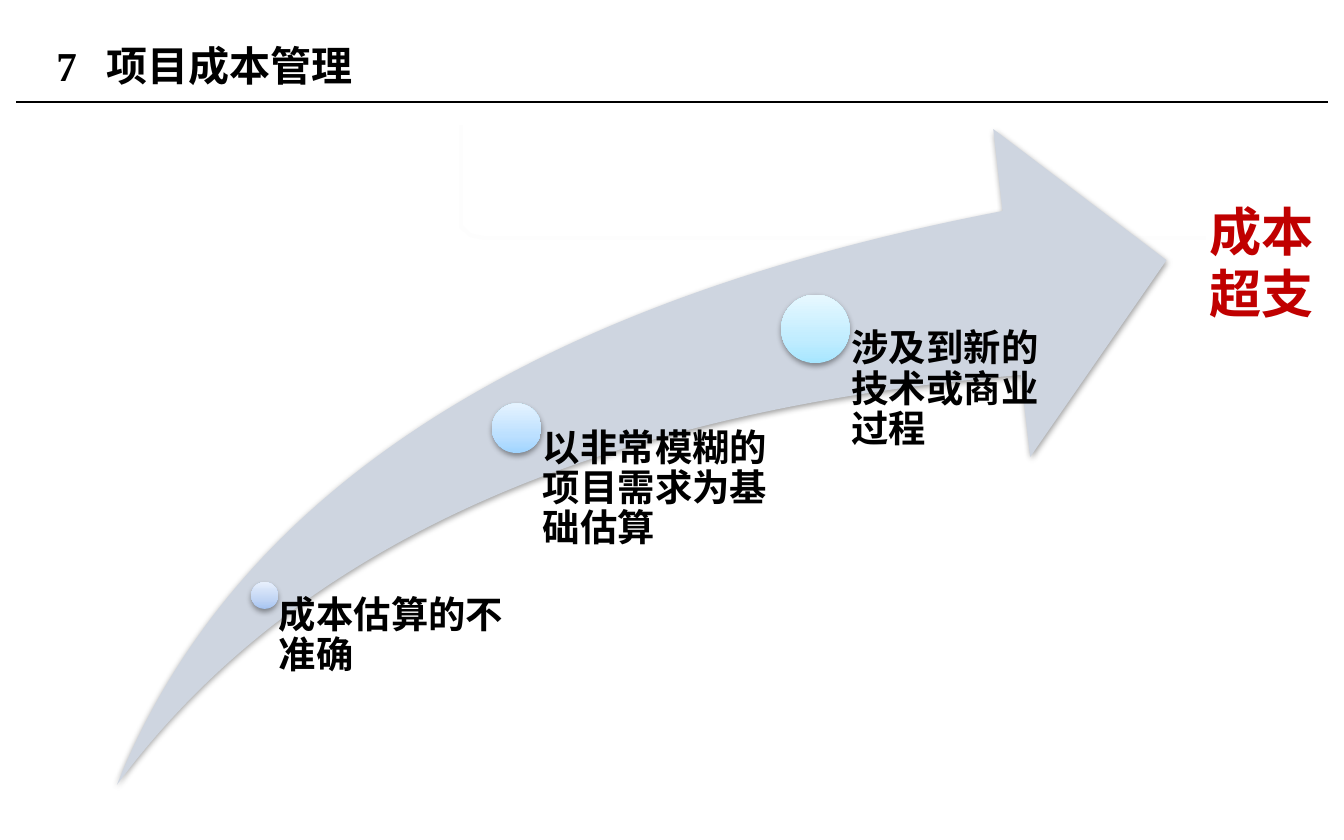
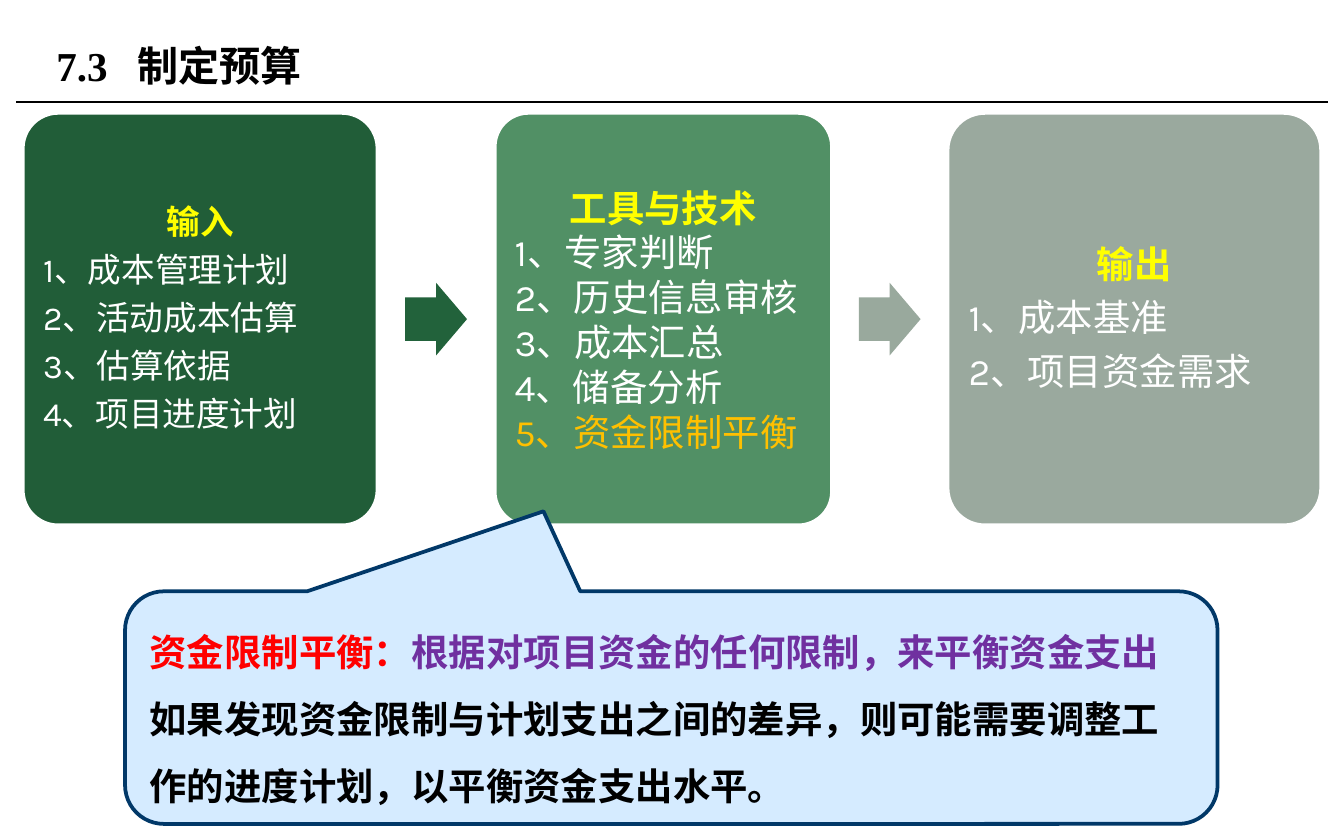
import copy

import pptx
import pptx.dml.color
import pptx.enum.shapes
import pptx.enum.text
import pptx.oxml
import pptx.oxml.ns
import pptx.util

Pt = pptx.util.Pt
RGBColor = pptx.dml.color.RGBColor
SHAPE = pptx.enum.shapes.MSO_SHAPE
ALIGN = pptx.enum.text.PP_ALIGN
ANCHOR = pptx.enum.text.MSO_ANCHOR
qn = pptx.oxml.ns.qn

BLACK = RGBColor(0x00, 0x00, 0x00)
WHITE = RGBColor(0xFF, 0xFF, 0xFF)
RED = RGBColor(0xFF, 0x00, 0x00)
DARK_RED = RGBColor(0xC0, 0x00, 0x00)
PURPLE = RGBColor(0x70, 0x30, 0xA0)
YELLOW = RGBColor(0xFF, 0xFF, 0x00)
AMBER = RGBColor(0xFF, 0xC0, 0x00)
SWOOSH = RGBColor(0xCE, 0xD5, 0xE0)
FAINT = RGBColor(0xFD, 0xFD, 0xFD)
CALLOUT_FILL = RGBColor(0xD5, 0xEB, 0xFF)
CALLOUT_LINE = RGBColor(0x01, 0x38, 0x68)
DARK_GREEN = RGBColor(0x21, 0x5D, 0x38)
ARROW_GREEN = RGBColor(0x22, 0x62, 0x3B)
GREEN = RGBColor(0x51, 0x90, 0x65)
ARROW_GREY = RGBColor(0x99, 0xA9, 0x9D)
GREY = RGBColor(0x9A, 0xA9, 0x9E)

SERIF = "Times New Roman"
SANS = "Karla"
CHINESE = "Noto Sans CJK SC"
LINE_HEIGHT = 1.2

SWOOSH_BOX = (62.6, 69.1, 562.3, 351.4)
FRAME_EDGE = [(646, 127.5), (259, 127.5), (252, 126), (247, 121.5), (247, 67)]
GRADIENT_STOPS = (0, 0.35, 1)
CAUSES = [
    ("成本估算的不准确", 141.8, 319, 14.4, 131, ("A6C4F1", "C1D5F4", "E7EFFC")),
    ("以非常模糊的项目需求为基础估算", 276.8, 229.4, 26.6, 134.6, ("A0D4FF", "BCE0FF", "E5F3FF")),
    ("涉及到新的技术或商业过程", 436.8, 176.2, 36.7, 134.6, ("A7E6FF", "C1EDFF", "E7F8FF")),
]
PANEL_TOP, PANEL_HEIGHT = 60.5, 221
PANELS = [
    {"left": 12.2, "width": 190.1, "fill": DARK_GREEN, "size": 18, "spacing": 0.9, "after": 0.35,
     "title": "输入", "items": ["1、成本管理计划", "2、活动成本估算", "3、估算依据", "4、项目进度计划"]},
    {"left": 265, "width": 180.7, "fill": GREEN, "size": 20, "spacing": 1, "after": 0,
     "title": "工具与技术",
     "items": ["1、专家判断", "2、历史信息审核", "3、成本汇总", "4、储备分析", "5、资金限制平衡"]},
    {"left": 507.6, "width": 200.2, "fill": GREY, "size": 20, "spacing": 0.9, "after": 0.35,
     "title": "输出", "items": ["1、成本基准", "2、项目资金需求"]},
]
HIGHLIGHT = "5、资金限制平衡"
ARROW_COLORS = (ARROW_GREEN, ARROW_GREY)
ARROW_WIDTH, ARROW_HEIGHT = 33.1, 38.9
CALLOUT_BOX = (67, 316.8, 585.3, 124.6)
CALLOUT_TEXT = [
    [("资金限制平衡：", RED), ("根据对项目资金的任何限制，来平衡资金支出", PURPLE)],
    [("如果发现资金限制与计划支出之间的差异，则可能需要调整工作的进度计划，以平衡资金支出水平。", BLACK)],
]


def box(*lengths):
    return [Pt(length) for length in lengths]


def set_attributes(target, values):
    for name, value in values.items():
        setattr(target, name, value)


def prepare_frame(shape, insets=(7.2, 3.6, 7.2, 3.6), anchor=ANCHOR.TOP):
    frame = shape.text_frame
    left, top, right, bottom = box(*insets)
    set_attributes(frame, {
        "word_wrap": True, "auto_size": pptx.enum.text.MSO_AUTO_SIZE.NONE,
        "vertical_anchor": anchor, "margin_left": left, "margin_top": top,
        "margin_right": right, "margin_bottom": bottom,
    })
    return frame


def write(frame, paragraphs, size, font=SERIF, spacing=1, after=0):
    for index, (runs, bold, align) in enumerate(paragraphs):
        paragraph = frame.add_paragraph() if index else frame.paragraphs[0]
        set_attributes(paragraph, {
            "alignment": align, "space_before": Pt(0), "space_after": Pt(round(size * after, 1)),
            "line_spacing": Pt(round(size * LINE_HEIGHT * spacing, 1)),
        })
        for text, color in runs:
            run = paragraph.add_run()
            run.text = text
            set_attributes(run.font, {"name": font, "size": Pt(size), "bold": bold})
            run.font.color.rgb = color
            east_asian = pptx.oxml.parse_xml(
                f'<a:ea {pptx.oxml.ns.nsdecls("a")} typeface="{CHINESE}"/>')
            run.font._element.find(qn("a:latin")).addnext(east_asian)


def add_shape(slide, kind, place, fill, line=None, adjustments=()):
    shape = slide.shapes.add_shape(kind, *box(*place))
    shape.shadow.inherit = False
    shape.fill.solid()
    shape.fill.fore_color.rgb = fill
    if line:
        shape.line.color.rgb = line
        shape.line.width = Pt(2)
    else:
        shape.line.fill.background()
    for index, value in enumerate(adjustments):
        shape.adjustments[index] = value
    return shape


def add_soft_shadow(shape):
    effects = shape._element.spPr.find(qn("a:effectLst"))
    effects.append(pptx.oxml.parse_xml(
        f'<a:outerShdw {pptx.oxml.ns.nsdecls("a")} blurRad="{Pt(3.1)}" dist="{Pt(1.6)}" '
        'dir="5400000" rotWithShape="0"><a:srgbClr val="000000">'
        '<a:alpha val="38000"/></a:srgbClr></a:outerShdw>'))


def set_gradient(shape, colors):
    shape.fill.gradient()
    shape.fill.gradient_angle = 90
    stop_list = shape._element.spPr.find(qn("a:gradFill")).find(qn("a:gsLst"))
    stop_list.append(copy.deepcopy(stop_list[0]))
    for stop, position, color in zip(shape.fill.gradient_stops, GRADIENT_STOPS, colors):
        stop.position = position
        stop.color.rgb = RGBColor.from_string(color)


def add_text(slide, text, place, size, color, insets, spacing=1, after=0):
    frame = prepare_frame(slide.shapes.add_textbox(*box(*place)), insets)
    write(frame, [([(text, color)], True, ALIGN.LEFT)], size, spacing=spacing, after=after)


def add_titled_slide(presentation, number, heading, tab_stop):
    slide = presentation.slides.add_slide(presentation.slide_layouts[5])
    title = slide.shapes.title
    left, top, width, height = box(23, 9.4, 459.4, 51.1)
    set_attributes(title, {"left": left, "top": top, "width": width, "height": height})
    frame = prepare_frame(title, anchor=ANCHOR.MIDDLE)
    properties = frame.paragraphs[0]._p.get_or_add_pPr()
    properties.append(pptx.oxml.parse_xml(
        f'<a:tabLst {pptx.oxml.ns.nsdecls("a")}><a:tab pos="{Pt(tab_stop)}" algn="l"/></a:tabLst>'))
    write(frame, [([(f"{number}\t{heading}", BLACK)], True, ALIGN.LEFT)], 22)
    rule = slide.shapes.add_connector(
        pptx.enum.shapes.MSO_CONNECTOR.STRAIGHT, *box(8.6, 54.7, 711.4, 54.7))
    rule.line.color.rgb = BLACK
    rule.line.width = Pt(0.75)
    rule._element.spPr.append(
        pptx.oxml.parse_xml(f'<a:effectLst {pptx.oxml.ns.nsdecls("a")}/>'))
    return slide


def build_overrun_slide(presentation):
    slide = add_titled_slide(presentation, "7", "项目成本管理", 27)
    start, *corners = [box(*point) for point in FRAME_EDGE]
    builder = slide.shapes.build_freeform(*start)
    builder.add_line_segments(corners, close=False)
    edge = builder.convert_to_shape()
    edge.shadow.inherit = False
    edge.fill.background()
    edge.line.color.rgb = FAINT
    edge.line.width = Pt(2)

    add_soft_shadow(add_shape(slide, SHAPE.SWOOSH_ARROW, SWOOSH_BOX, SWOOSH,
                              adjustments=(0.25, 0.25)))
    bottom = SWOOSH_BOX[1] + SWOOSH_BOX[3]
    for text, center_x, center_y, size, width, colors in CAUSES:
        place = (center_x - size / 2, center_y - size / 2, size, size)
        dot = add_shape(slide, SHAPE.OVAL, place, WHITE)
        set_gradient(dot, colors)
        add_soft_shadow(dot)
        add_text(slide, text, (center_x, center_y, width, bottom - center_y), 20, BLACK,
                 (size * 0.53, 0, 0, 0), spacing=0.9, after=0.35)
    add_text(slide, "成本超支", (640.8, 103, 74.9, 74.9), 28, DARK_RED, (7.2, 3.6, 7.2, 3.6))


def build_budget_slide(presentation):
    slide = add_titled_slide(presentation, "7.3", "制定预算", 43.5)
    for panel in PANELS:
        shape = add_shape(slide, SHAPE.ROUNDED_RECTANGLE,
                          (panel["left"], PANEL_TOP, panel["width"], PANEL_HEIGHT),
                          panel["fill"], WHITE, (0.1,))
        paragraphs = [([(panel["title"], YELLOW)], True, ALIGN.CENTER)]
        for item in panel["items"]:
            color = AMBER if item == HIGHLIGHT else WHITE
            paragraphs.append(([(item, color)], False, ALIGN.LEFT))
        write(prepare_frame(shape, (5.4,) * 4, ANCHOR.MIDDLE), paragraphs, panel["size"],
              SANS, panel["spacing"], panel["after"])

    arrow_top = PANEL_TOP + (PANEL_HEIGHT - ARROW_HEIGHT) / 2
    for before, following, color in zip(PANELS, PANELS[1:], ARROW_COLORS):
        middle = (before["left"] + before["width"] + following["left"]) / 2
        add_shape(slide, SHAPE.RIGHT_ARROW,
                  (middle - ARROW_WIDTH / 2, arrow_top, ARROW_WIDTH, ARROW_HEIGHT),
                  color, adjustments=(0.6, 0.5))

    callout = add_shape(slide, SHAPE.ROUNDED_RECTANGULAR_CALLOUT, CALLOUT_BOX, CALLOUT_FILL,
                        CALLOUT_LINE, (-0.117, -0.844, 0.167))
    write(prepare_frame(callout, anchor=ANCHOR.MIDDLE),
          [(runs, True, ALIGN.LEFT) for runs in CALLOUT_TEXT], 20, spacing=1.5)


def main():
    presentation = pptx.Presentation()
    presentation.slide_width, presentation.slide_height = box(720, 450)
    build_overrun_slide(presentation)
    build_budget_slide(presentation)
    presentation.save("out.pptx")


if __name__ == "__main__":
    main()
